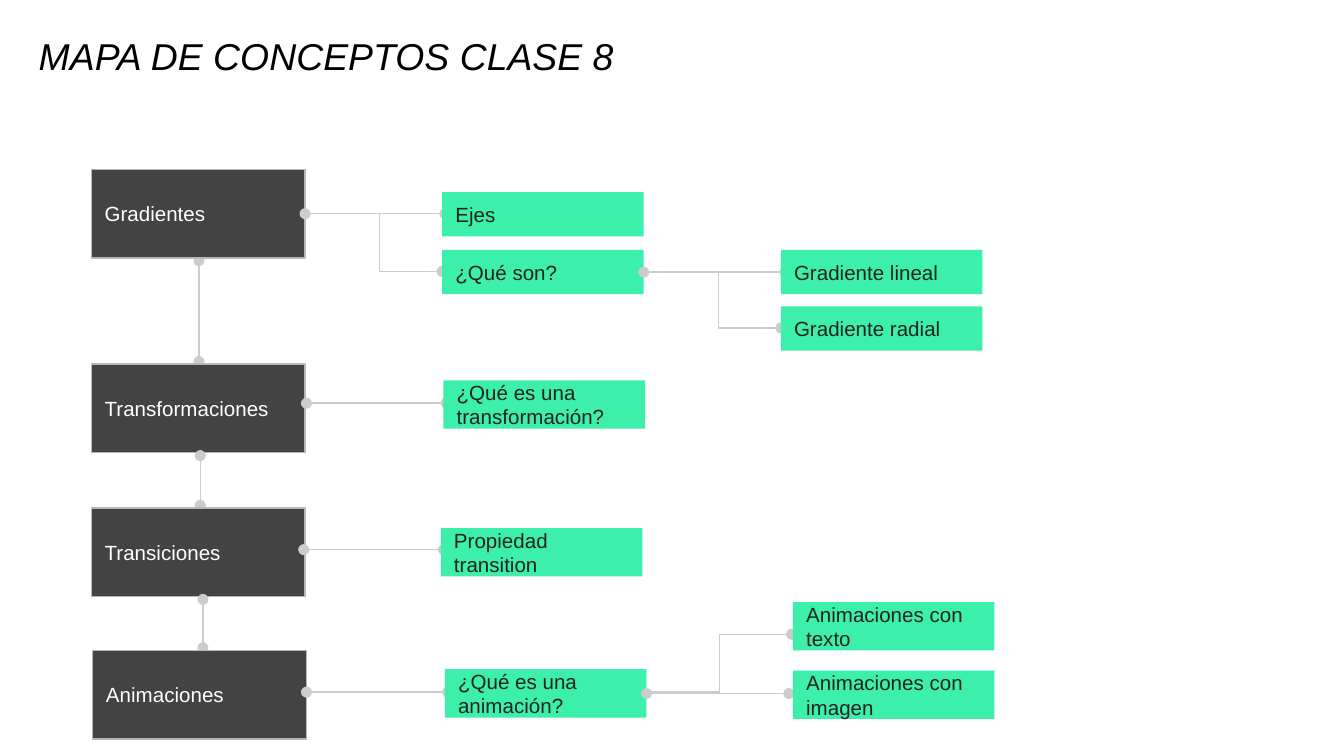
from dataclasses import dataclass
from typing import Optional, Union

from lxml.etree import SubElement
from pptx import Presentation
from pptx.dml.color import RGBColor
from pptx.enum.shapes import MSO_CONNECTOR as Connector, MSO_SHAPE as Preset
from pptx.enum.text import MSO_ANCHOR as Anchor, PP_ALIGN as Align
from pptx.oxml.ns import qn
from pptx.shapes.autoshape import Shape
from pptx.slide import Slide
from pptx.text.text import TextFrame
from pptx.util import Inches, Pt

RIGHT_SIDE = 3


@dataclass(frozen=True)
class Theme:
    font: str = "Arial"
    title_size: float = 20
    body_size: float = 11
    line_width: float = 0.75
    inset: float = 0.1
    title: str = "000000"
    topic_fill: str = "434343"
    topic_line: str = "B7B7B7"
    topic_text: str = "FFFFFF"
    detail_fill: str = "3CEFAB"
    detail_text: str = "222222"
    link: str = "CCCCCC"


@dataclass(frozen=True)
class Topic:
    text: str
    left: float
    top: float
    width: float = 1.59
    height: float = 0.66
    fill: str = Theme.topic_fill
    color: str = Theme.topic_text
    outline: Optional[str] = Theme.topic_line


@dataclass(frozen=True)
class Detail(Topic):
    width: float = 1.5
    height: float = 0.33
    fill: str = Theme.detail_fill
    color: str = Theme.detail_text
    outline: Optional[str] = None


@dataclass(frozen=True)
class TwoLineDetail(Detail):
    height: float = 0.36


@dataclass(frozen=True)
class Link:
    start: tuple[float, float]
    end: tuple[float, float]
    source: Optional[str] = None


@dataclass(frozen=True)
class Branch(Link):
    pass


CONCEPT_MAP: list[Union[Topic, Link]] = [
    Link((1.48, 1.94), (1.48, 2.69)),
    Topic("Gradientes", 0.68, 1.26),
    Topic("Transformaciones", 0.68, 2.71),
    Link((2.28, 3), (3.32, 3)),
    TwoLineDetail("¿Qué es una transformación?", 3.3, 2.83),
    Link((2.27, 1.6), (3.31, 1.6), "Gradientes"),
    Detail("Ejes", 3.29, 1.43),
    Branch((2.36, 1.59), (3.29, 2.02)),
    Detail("¿Qué son?", 3.29, 1.86),
    Link((4.79, 2.03), (5.84, 2.03), "¿Qué son?"),
    Detail("Gradiente lineal", 5.81, 1.86),
    Branch((4.88, 2.02), (5.81, 2.44)),
    Detail("Gradiente radial", 5.81, 2.28),
    Link((1.49, 3.39), (1.49, 3.76)),
    Topic("Transiciones", 0.68, 3.78),
    Link((2.26, 4.09), (3.3, 4.09)),
    TwoLineDetail("Propiedad transition", 3.28, 3.93),
    Link((1.51, 4.46), (1.51, 4.82)),
    Topic("Animaciones", 0.69, 4.84),
    Link((2.28, 5.15), (3.33, 5.15)),
    TwoLineDetail("¿Qué es una animación?", 3.31, 4.98),
    Link((4.82, 5.15), (5.87, 5.15), "¿Qué es una animación?"),
    Branch((4.82, 5.15), (5.89, 4.72)),
    TwoLineDetail("Animaciones con texto", 5.9, 4.48),
    TwoLineDetail("Animaciones con imagen", 5.9, 4.99),
]


def write_text(frame: TextFrame, text: str, size: float, color: str,
               anchor: Anchor, theme: Theme, italic: bool = False) -> None:
    frame.text = text
    frame.word_wrap = True
    frame.vertical_anchor = anchor
    frame.margin_left = frame.margin_right = Inches(theme.inset)
    frame.margin_top = frame.margin_bottom = Inches(theme.inset)
    para = frame.paragraphs[0]
    para.alignment = Align.LEFT
    font = para.runs[0].font
    font.name = theme.font
    font.size = Pt(size)
    font.italic = italic
    font.color.rgb = RGBColor.from_string(color)


def draw_title(page: Slide, text: str, theme: Theme) -> None:
    box = page.shapes.add_textbox(Inches(0.19), Inches(0.22), Inches(8.26), Inches(0.46))
    write_text(box.text_frame, text, theme.title_size, theme.title,
               Anchor.BOTTOM, theme, italic=True)


def draw_concept(page: Slide, concept: Topic, theme: Theme) -> Shape:
    box = page.shapes.add_shape(Preset.RECTANGLE, Inches(concept.left), Inches(concept.top),
                                Inches(concept.width), Inches(concept.height))
    box.shadow.inherit = False
    box.fill.solid()
    box.fill.fore_color.rgb = RGBColor.from_string(concept.fill)
    if concept.outline:
        box.line.color.rgb = RGBColor.from_string(concept.outline)
        box.line.width = Pt(theme.line_width)
    else:
        box.line.fill.background()
    write_text(box.text_frame, concept.text, theme.body_size, concept.color,
               Anchor.MIDDLE, theme)
    return box


def draw_link(page: Slide, link: Link, boxes: dict[str, Shape], theme: Theme) -> None:
    is_branch = isinstance(link, Branch)
    kind = Connector.ELBOW if is_branch else Connector.STRAIGHT
    points = [Inches(value) for value in (*link.start, *link.end)]
    connector = page.shapes.add_connector(kind, *points)
    if link.source:
        connector.begin_connect(boxes[link.source], RIGHT_SIDE)
        connector.end_y = connector.begin_y
    connector.line.color.rgb = RGBColor.from_string(theme.link)
    connector.line.width = Pt(theme.line_width)
    properties = connector._element.spPr
    outline = properties.find(qn("a:ln"))
    for tag in ("a:tailEnd",) if is_branch else ("a:headEnd", "a:tailEnd"):
        SubElement(outline, qn(tag), type="oval")
    SubElement(properties, qn("a:effectLst"))


def main() -> None:
    theme = Theme()
    deck = Presentation()
    deck.slide_width = Inches(10)
    deck.slide_height = deck.slide_width * 9 // 16
    page = deck.slides.add_slide(deck.slide_layouts[6])
    draw_title(page, "MAPA DE CONCEPTOS CLASE 8", theme)
    boxes: dict[str, Shape] = {}
    for item in CONCEPT_MAP:
        if isinstance(item, Link):
            draw_link(page, item, boxes, theme)
        else:
            boxes[item.text] = draw_concept(page, item, theme)
    deck.save("out.pptx")


if __name__ == "__main__":
    main()
